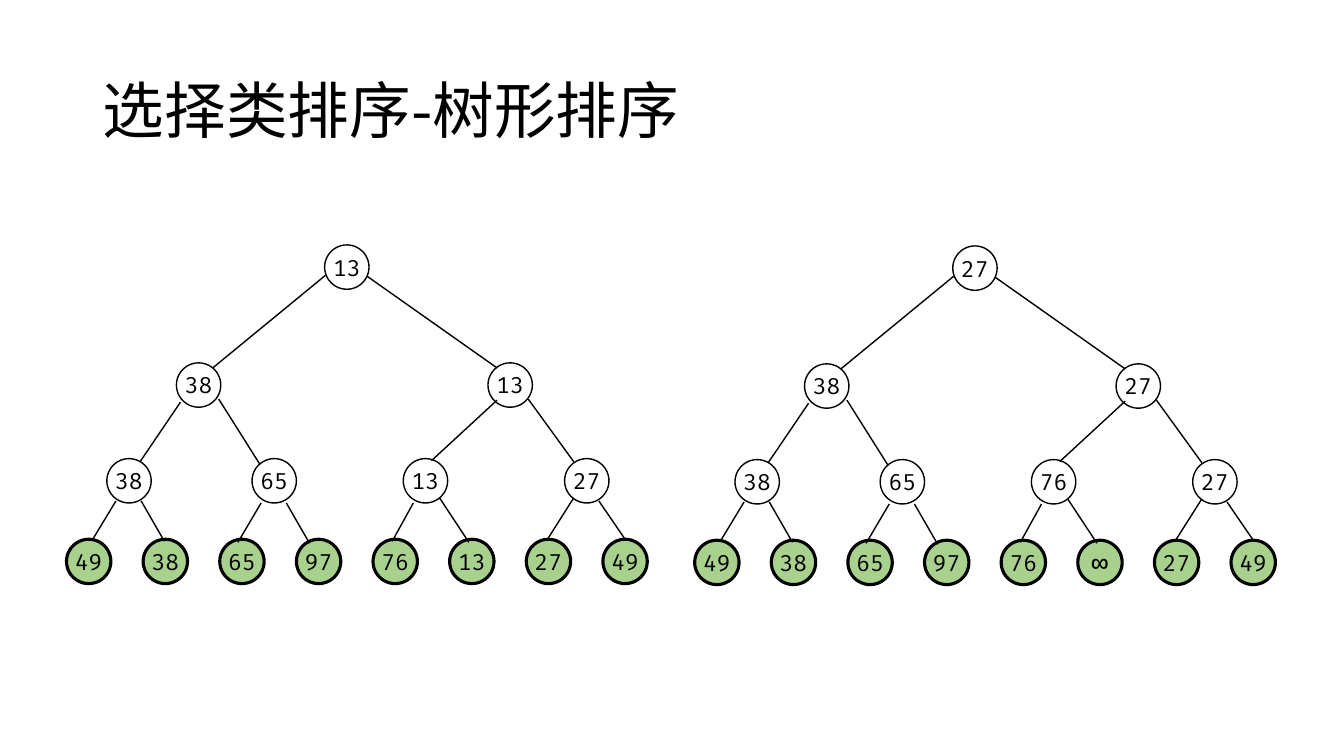
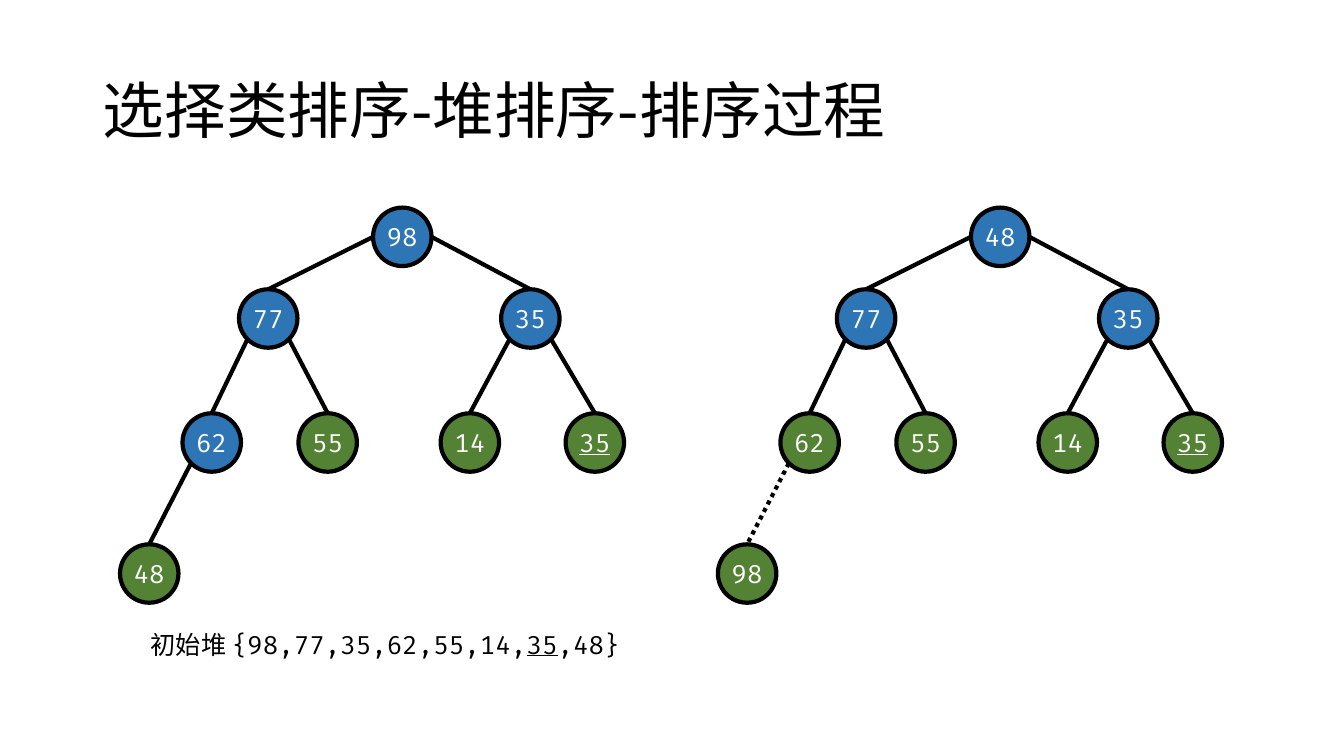
from pptx import Presentation
from pptx import util as u
from pptx.dml.color import RGBColor
from pptx.enum import dml, shapes, text
from pptx.oxml.ns import qn

BLACK = RGBColor(0x00, 0x00, 0x00)
WHITE = RGBColor(0xFF, 0xFF, 0xFF)
LEAF = RGBColor(0xA9, 0xD1, 0x8E)
BLUE = RGBColor(0x2E, 0x75, 0xB6)
GREEN = RGBColor(0x54, 0x82, 0x35)
CJK, CODE = "Noto Sans CJK SC", "Fira Code"

TREE_TITLE = "选择类排序-树形排序"
TREE_D = 0.44
TREE_NODES = [
    (3.22, 2.43),
    (1.75, 3.6), (4.84, 3.6),
    (1.06, 4.55), (2.5, 4.55), (4, 4.55), (5.6, 4.55),
] + [(0.66 + 0.76 * i, 5.35) for i in range(8)]
TREE_EDGES = [
    (3.23, 2.73, 2.11, 3.65), (3.64, 2.74, 4.93, 3.65),
    (1.79, 3.99, 1.39, 4.58), (2.17, 3.96, 2.58, 4.61),
    (4.93, 3.97, 4.28, 4.57), (5.24, 3.96, 5.69, 4.58),
    (1.15, 4.97, 0.92, 5.35), (1.4, 4.97, 1.63, 5.37),
    (2.59, 4.99, 2.36, 5.38), (2.84, 4.99, 3.07, 5.39),
    (4.1, 4.99, 3.89, 5.37), (4.36, 4.94, 4.65, 5.38),
    (5.69, 4.94, 5.43, 5.35), (5.94, 4.97, 6.2, 5.35),
]
TREES = [
    (0, 0, "13 38 13 38 65 13 27 49 38 65 97 76 13 27 49".split()),
    (6.23, 0.01, "27 38 27 38 65 76 27 49 38 65 97 76 ∞ 27 49".split()),
]

HEAP_TITLE = "选择类排序-堆排序-排序过程"
HEAP_D = 0.58
HEAP_NODES = [
    (3.7, 2.06),
    (2.37, 2.87), (4.97, 2.87),
    (1.81, 4.1), (2.96, 4.1), (4.37, 4.1), (5.61, 4.1),
    (1.19, 5.4),
]
UNDERLINED = 6
HEAPS = [
    (0, "98 77 35 62 55 14 35 48".split(), 4, None),
    (5.93, "48 77 35 62 55 14 35 98".split(), 3, 7),
]
CAPTION = [("初始堆 {98,77,35,62,55,14,", False), ("35", True), (",48}", False)]


def write(tf, runs, size=16, font=CODE, color=BLACK, align=text.PP_ALIGN.CENTER,
          anchor=text.MSO_ANCHOR.MIDDLE, wrap=True, inset=None, spacing=None):
    tf.word_wrap = wrap
    tf.vertical_anchor = anchor
    if inset is not None:
        tf.margin_left = tf.margin_right = tf.margin_top = tf.margin_bottom = u.Inches(inset)
    p = tf.paragraphs[0]
    p.alignment = align
    if spacing:
        p.line_spacing = spacing
    for words, underline in runs:
        r = p.add_run()
        r.text = words
        r.font.size = u.Pt(size)
        r.font.name = font
        r.font.color.rgb = color
        if underline:
            r.font.underline = True
        ea = r._r.get_or_add_rPr().makeelement(qn("a:ea"), {"typeface": CJK})
        r._r.rPr.find(qn("a:latin")).addnext(ea)


def add_slide(prs, title):
    s = prs.slides.add_slide(prs.slide_layouts[5])
    sp = s.shapes.title
    sp.left, sp.top, sp.width, sp.height = map(u.Inches, (0.92, 0.4, 11.5, 1.45))
    write(sp.text_frame, [(title, False)], size=44, font=CJK,
          align=text.PP_ALIGN.LEFT, spacing=0.9)
    sp.text_frame.auto_size = text.MSO_AUTO_SIZE.NONE
    return s


def add_node(s, x, y, d, label, fill, weight, underline=False, **fmt):
    sp = s.shapes.add_shape(shapes.MSO_SHAPE.OVAL, *map(u.Inches, (x, y, d, d)))
    sp.shadow.inherit = False
    sp.fill.solid()
    sp.fill.fore_color.rgb = fill
    sp.line.color.rgb = BLACK
    sp.line.width = u.Pt(weight)
    write(sp.text_frame, [(label, underline)], **fmt)


def add_edge(s, x1, y1, x2, y2, weight, dotted=False):
    line = s.shapes.add_connector(shapes.MSO_CONNECTOR.STRAIGHT, *map(u.Inches, (x1, y1, x2, y2)))
    line.line.color.rgb = BLACK
    line.line.width = u.Pt(weight)
    if dotted:
        line.line.dash_style = dml.MSO_LINE.ROUND_DOT
    sp_pr = line._element.spPr
    sp_pr.append(sp_pr.makeelement(qn("a:effectLst"), {}))


def add_tree(s, dx, dy, labels):
    for i, ((x, y), label) in enumerate(zip(TREE_NODES, labels)):
        leaf = i >= len(TREE_NODES) // 2
        add_node(s, x + dx, y + dy, TREE_D, label, LEAF if leaf else WHITE,
                 2.25 if leaf else 1, size=18 if label == "∞" else 16, inset=0)
    for x1, y1, x2, y2 in TREE_EDGES:
        add_edge(s, x1 + dx, y1 + dy, x2 + dx, y2 + dy, 1)


def add_heap(s, dx, labels, inner, detached):
    radius = HEAP_D / 2
    centres = [(x + dx + radius, y + radius) for x, y in HEAP_NODES]
    for i, ((x, y), label) in enumerate(zip(HEAP_NODES, labels)):
        add_node(s, x + dx, y, HEAP_D, label, BLUE if i < inner else GREEN, 3,
                 underline=i == UNDERLINED, size=18, color=WHITE, wrap=False)
    for i in range(1, len(centres)):
        parent = (i - 1) // 2
        px, py = centres[parent]
        cx, cy = centres[i]
        side = -1 if i % 2 else 1
        across, down = (radius, 0) if parent == 0 else (radius * 0.71, radius * 0.71)
        add_edge(s, px + side * across, py + down, cx, cy - radius, 3, dotted=i == detached)


prs = Presentation()
prs.slide_width, prs.slide_height = u.Inches(13.33), u.Inches(7.5)

s = add_slide(prs, TREE_TITLE)
for tree in TREES:
    add_tree(s, *tree)

s = add_slide(prs, HEAP_TITLE)
for heap in HEAPS:
    add_heap(s, *heap)
caption = s.shapes.add_textbox(*map(u.Inches, (1.32, 6.19, 5, 0.4)))
write(caption.text_frame, CAPTION, size=18, anchor=text.MSO_ANCHOR.TOP)

prs.save("out.pptx")
